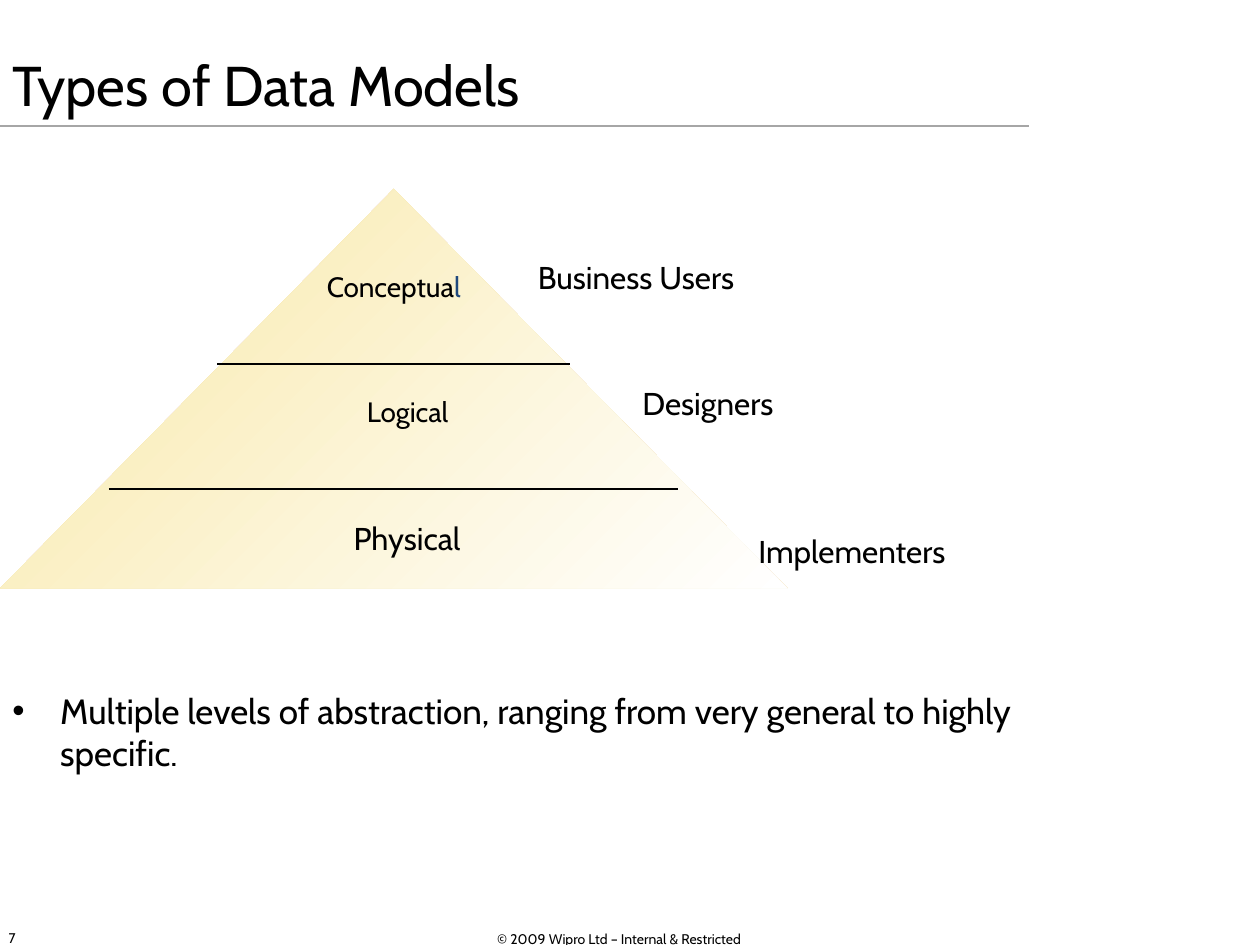
from lxml import etree
from pptx import Presentation
from pptx.dml.color import RGBColor
from pptx.enum import shapes, text
from pptx.oxml.ns import qn
from pptx.util import Inches, Pt

FONT = "Cabin"
BLACK, BLUE, GREY = "000000", "1F497D", "A6A6A6"
SAND, WHITE = "F8E8A6", "FFFFFF"
LEFT, CENTER = text.PP_ALIGN.LEFT, text.PP_ALIGN.CENTER
TOP, MIDDLE = text.MSO_ANCHOR.TOP, text.MSO_ANCHOR.MIDDLE


def color(hex_value):
    """Turn a hex string into a colour."""
    return RGBColor.from_string(hex_value)


def style_span(span, size, hex_value=BLACK):
    """Set the font, size and colour of a run."""
    span.font.name = FONT
    span.font.size = Pt(size)
    span.font.color.rgb = color(hex_value)


def add_label(page, box, words, size, align=LEFT, anchor=TOP):
    """Place one paragraph of text and return it."""
    frame = page.shapes.add_textbox(*map(Inches, box)).text_frame
    frame.word_wrap = True
    frame.vertical_anchor = anchor
    para = frame.paragraphs[0]
    para.text = words
    para.alignment = align
    style_span(para.runs[0], size)
    return para


def add_rule(page, left, right, top, hex_value):
    """Draw a thin horizontal line."""
    ends = map(Inches, (left, top, right, top))
    rule = page.shapes.add_connector(shapes.MSO_CONNECTOR.STRAIGHT, *ends)
    rule.line.color.rgb = color(hex_value)
    rule.line.width = Pt(0.75)
    etree.SubElement(rule._element.spPr, qn("a:effectLst"))


def add_heading(page, box):
    """Place the title and the rule under it."""
    add_label(page, box, "Types of Data Models", 32, anchor=MIDDLE)
    add_rule(page, box[0], box[0] + 8.17, 1, GREY)


def add_pyramid(page, box):
    """Draw the three model levels and who uses each of them."""
    left, top, width, height = box
    pyramid = page.shapes.add_shape(
        shapes.MSO_SHAPE.ISOSCELES_TRIANGLE, *map(Inches, box))
    pyramid.shadow.inherit = False
    pyramid.line.fill.background()
    pyramid.fill.gradient()
    pyramid.fill.gradient_angle = 315
    for stop, position, hex_value in zip(
            pyramid.fill.gradient_stops, (0, 1), (SAND, WHITE)):
        stop.position = position
        stop.color.rgb = color(hex_value)

    middle = left + width / 2
    for half, drop in ((1.4, 1.39), (2.26, 2.38)):
        add_rule(page, middle - half, middle + half, top + drop, BLACK)

    levels = (("Conceptua", 1.94, 0.59, 2.37, 16),
              ("Logical", 1.94, 1.58, 2.59, 16),
              ("Physical", 1.72, 2.57, 3.02, 18))
    paras = [add_label(page, (left + x, top + y, wide, 0.4), words, size, CENTER)
             for words, x, y, wide, size in levels]
    last_letter = paras[0].add_run()
    last_letter.text = "l"
    style_span(last_letter, 16, BLUE)

    users = (("Business Users", 4.17, 0.5), ("Designers", 5, 1.5),
             ("Implementers", 5.92, 2.67))
    for words, x, y in users:
        add_label(page, (left + x, top + y, 2.37, 0.4), words, 18)


def add_summary(page, box):
    """Place the bulleted statement."""
    para = add_label(page, box, "Multiple levels of abstraction, ranging from "
                     "very general to highly specific.", 20)
    props = para._p.get_or_add_pPr()
    props.set("marL", str(Inches(0.38)))
    props.set("indent", str(-Inches(0.38)))
    bullet_color = etree.SubElement(props, qn("a:buClr"))
    etree.SubElement(bullet_color, qn("a:srgbClr"), val=BLACK)
    etree.SubElement(props, qn("a:buFont"), typeface="Arial")
    etree.SubElement(props, qn("a:buChar"), char="•")


def add_footer(page, box):
    """Place the page number and the copyright line."""
    left, top, width, height = box
    add_label(page, (left, top, 2.33, height), "7", 8, anchor=MIDDLE)
    add_label(page, (left + 2.78, top + 0.01, 4.33, height),
              "© 2009 Wipro Ltd – Internal & Restricted", 8, CENTER, MIDDLE)


def main():
    """Build and save the deck."""
    deck = Presentation()
    deck.slide_width, deck.slide_height = Inches(10), Inches(7.5)
    page = deck.slides.add_slide(deck.slide_layouts[6])
    add_heading(page, (0, 0.24, 8.42, 0.85))
    add_pyramid(page, (0, 1.5, 6.25, 3.17))
    add_summary(page, (0, 5.42, 9, 0.5))
    add_footer(page, (-0.03, 7.24, 7.11, 0.4))
    deck.save("out.pptx")


if __name__ == "__main__":
    main()
